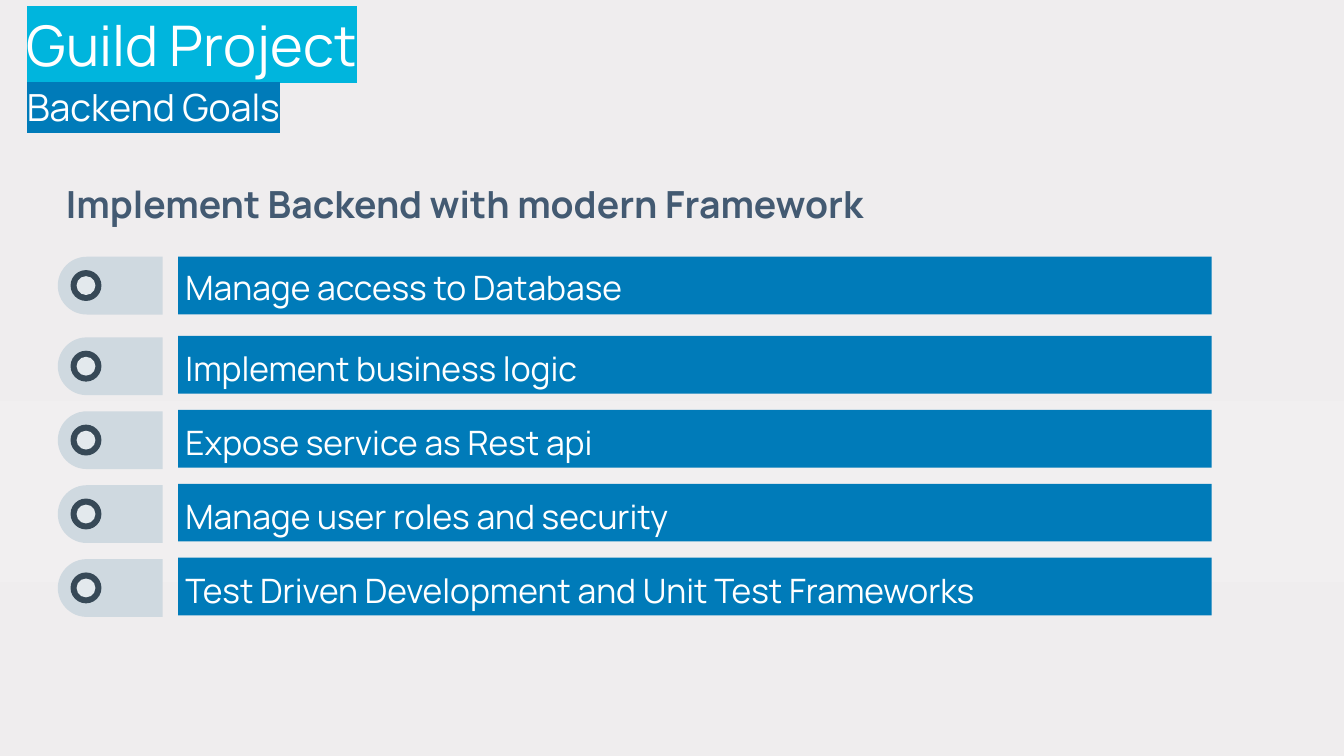
from dataclasses import dataclass

from lxml.etree import SubElement
from pptx import Presentation
from pptx.dml.color import RGBColor
from pptx.enum.shapes import MSO_SHAPE
from pptx.enum.text import MSO_ANCHOR
from pptx.oxml.ns import qn
from pptx.shapes.autoshape import Shape
from pptx.slide import Slide
from pptx.text.text import _Paragraph as Paragraph
from pptx.util import Inches, Pt

COLOURS = {
    "bar": "007BB9",
    "title": "00B5DD",
    "white": "FFFFFF",
    "heading": "435A72",
    "tab": "CFD9E0",
    "ring": "374957",
    "hole": "E3E9ED",
}
BACKGROUND = {0: "EFEDEE", 53: "F1EFF0", 77: "EFEDEE", 100: "EFEBEC"}
FONT = "Manrope"
ROW_HEIGHT = 0.43
RING_CENTRE = 0.64


@dataclass
class Goal:
    text: str
    top: float
    drop: float = 0.01


@dataclass
class Span:
    text: str
    size: int
    colour: str = "white"
    bold: bool = False
    highlight: str = ""


GOALS = [Goal("Manage access to Database", 1.91, 0)] + [
    Goal(text, 2.5 + 0.55 * index)
    for index, text in enumerate([
        "Implement business logic",
        "Expose service as Rest api",
        "Manage user roles and security",
        "Test Driven Development and Unit Test Frameworks",
    ])
]


def paint_background(page: Slide) -> None:
    """Fill the page with a vertical gradient."""
    fill = page.background.fill
    fill.gradient()
    fill.gradient_angle = 270
    stops = page.element.find(".//" + qn("a:gsLst"))
    for stop in list(stops):
        stops.remove(stop)
    for position, colour in BACKGROUND.items():
        stop = SubElement(stops, qn("a:gs"), pos=str(position * 1000))
        SubElement(stop, qn("a:srgbClr"), val=colour)


def add_span(para: Paragraph, span: Span) -> None:
    """Append one styled run to a paragraph."""
    run = para.add_run()
    run.text = span.text
    run.font.size = Pt(span.size)
    run.font.bold = span.bold
    run.font.color.rgb = RGBColor.from_string(COLOURS[span.colour])
    if span.highlight:
        highlight = SubElement(run.font._element, qn("a:highlight"))
        SubElement(highlight, qn("a:srgbClr"), val=COLOURS[span.highlight])
    run.font.name = FONT


def add_text(page: Slide, left: float, top: float, width: float, height: float,
             spans: list[Span], spacing: float, anchor: MSO_ANCHOR) -> None:
    """Add a text box without insets, one line per span."""
    box = page.shapes.add_textbox(Inches(left), Inches(top), Inches(width), Inches(height))
    frame = box.text_frame
    frame.word_wrap = True
    frame.vertical_anchor = anchor
    frame.margin_left = frame.margin_right = frame.margin_top = frame.margin_bottom = 0
    para = frame.paragraphs[0]
    para.line_spacing = spacing
    for index, span in enumerate(spans):
        if index:
            para.add_line_break()
        add_span(para, span)


def add_block(page: Slide, kind: MSO_SHAPE, centre_x: float, centre_y: float,
              width: float, height: float, colour: str) -> Shape:
    """Add a plain filled shape around a centre point."""
    shape = page.shapes.add_shape(
        kind, Inches(centre_x - width / 2), Inches(centre_y - height / 2),
        Inches(width), Inches(height))
    shape.shadow.inherit = False
    shape.fill.solid()
    shape.fill.fore_color.rgb = RGBColor.from_string(COLOURS[colour])
    shape.line.fill.background()
    return shape


def add_goal(page: Slide, goal: Goal) -> None:
    """Draw one goal: bar, label and tab with a ring."""
    middle = goal.top + ROW_HEIGHT / 2
    tab_middle = middle + goal.drop
    add_block(page, MSO_SHAPE.RECTANGLE, 5.17, middle, 7.69, ROW_HEIGHT, "bar")
    add_text(page, 1.38, goal.top + goal.drop, 7.48, ROW_HEIGHT,
             [Span(goal.text, 18)], 1.1, MSO_ANCHOR.MIDDLE)
    tab = add_block(page, MSO_SHAPE.ROUND_2_SAME_RECTANGLE, 0.82, tab_middle,
                    ROW_HEIGHT, 0.78, "tab")
    tab.adjustments[0] = 0.5
    tab.rotation = 270
    for size, colour in ((0.23, "ring"), (0.14, "hole")):
        add_block(page, MSO_SHAPE.OVAL, RING_CENTRE, tab_middle, size, size, colour)


def main() -> None:
    """Build and save the deck."""
    deck = Presentation()
    deck.slide_width = Inches(10)
    deck.slide_height = deck.slide_width * 9 // 16
    page = deck.slides.add_slide(deck.slide_layouts[6])
    paint_background(page)
    add_text(page, 0.2, 0, 5.83, 1.11,
             [Span("Guild Project", 30, highlight="title"),
              Span("Backend Goals", 20, highlight="bar")], 1.15, MSO_ANCHOR.TOP)
    add_text(page, 0.49, 1.28, 6.61, ROW_HEIGHT,
             [Span("Implement Backend with modern Framework", 20, "heading", True)],
             1.1, MSO_ANCHOR.MIDDLE)
    for goal in GOALS:
        add_goal(page, goal)
    deck.save("out.pptx")


if __name__ == "__main__":
    main()
